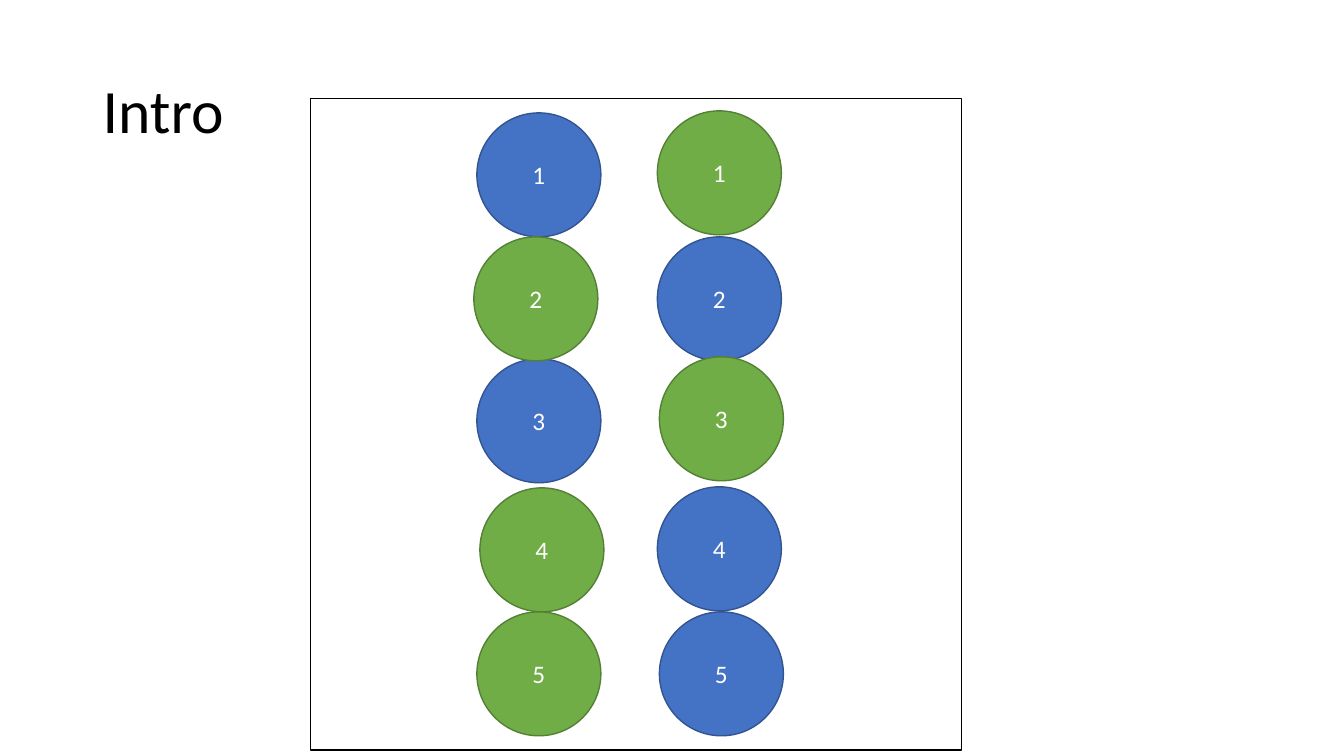
from dataclasses import dataclass

from pptx import Presentation
from pptx.dml.color import RGBColor as Rgb
from pptx.enum.shapes import MSO_SHAPE as Kind
from pptx.enum.text import MSO_ANCHOR as Anchor, PP_ALIGN as Align
from pptx.util import Inches, Pt


@dataclass(frozen=True)
class Theme:
    font: str = "Calibri"
    title: int = 44
    label: int = 18
    rule: int = 1
    black: str = "000000"
    white: str = "FFFFFF"
    blue: tuple = ("4472C4", "325491")
    green: tuple = ("70AD47", "538035")


THEME = Theme()
WIDTH, HEIGHT = 13.33, 7.5

# Grid of balls, in inches
LEFT, TOP = 4.73, 1.11
COL, ROW = 1.79, 1.24
SIZE = 1.23

# One entry per row: column, shift right, shift down
BLUE = [(0, 0, 0.01), (1, 0, 0), (0, 0, -0.03), (1, 0, 0), (1, 0.02, 0)]
GREEN = [(1, 0, -0.01), (0, -0.03, 0), (1, 0.02, -0.05), (0, 0.03, 0.01), (0, 0, 0)]


def apply(item, values):
    for name, value in values.items():
        setattr(item, name, value)


def write(shape, text, size, color, para):
    frame = shape.text_frame
    apply(frame, {"word_wrap": True, "vertical_anchor": Anchor.MIDDLE})
    line = frame.paragraphs[0]
    apply(line, para)
    run = line.add_run()
    run.text = text
    apply(run.font, {"name": THEME.font, "size": Pt(size)})
    run.font.color.rgb = Rgb.from_string(color)


def draw(slide, kind, box, fill, edge):
    shape = slide.shapes.add_shape(kind, *map(Inches, box))
    shape.shadow.inherit = False
    shape.fill.solid()
    shape.fill.fore_color.rgb = Rgb.from_string(fill)
    shape.line.color.rgb = Rgb.from_string(edge)
    shape.line.width = Pt(THEME.rule)
    return shape


def add_title(slide, text):
    box = (0.069 * WIDTH, 0.053 * HEIGHT, 0.863 * WIDTH, 0.193 * HEIGHT)
    shape = slide.shapes.add_textbox(*map(Inches, box))
    write(shape, text, THEME.title, THEME.black, {"line_spacing": 0.9})


def add_balls(slide, places, colors):
    """Draw one numbered ball in each row of the grid."""
    for row, (col, right, down) in enumerate(places):
        box = (LEFT + col * COL + right, TOP + row * ROW + down, SIZE, SIZE)
        ball = draw(slide, Kind.OVAL, box, *colors)
        write(ball, str(row + 1), THEME.label, THEME.white, {"alignment": Align.CENTER})


def main():
    deck = Presentation()
    apply(deck, {"slide_width": Inches(WIDTH), "slide_height": Inches(HEIGHT)})
    slide = deck.slides.add_slide(deck.slide_layouts[6])
    draw(slide, Kind.RECTANGLE, (3.08, 0.98, 6.46, 6.46), THEME.white, THEME.black)
    add_title(slide, "Intro")
    add_balls(slide, BLUE, THEME.blue)
    add_balls(slide, GREEN, THEME.green)
    deck.save("out.pptx")


if __name__ == "__main__":
    main()
